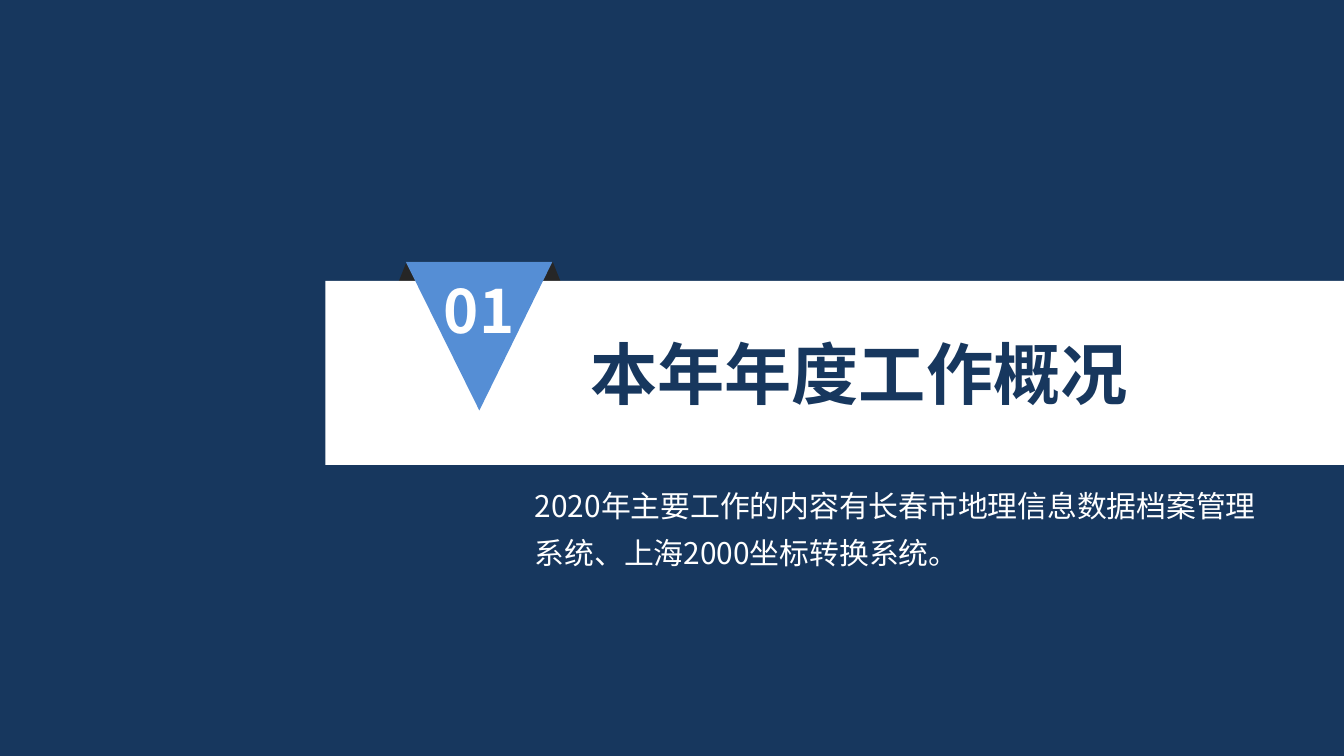
from lxml.etree import SubElement
from pptx import Presentation
from pptx.dml.color import RGBColor
from pptx.enum.shapes import MSO_SHAPE as Kind
from pptx.enum.text import MSO_ANCHOR as Anchor, MSO_AUTO_SIZE as Auto, PP_ALIGN as Align
from pptx.oxml.ns import qn
from pptx.util import Cm, Pt

FACE = "Noto Sans CJK SC"
NAVY, BLUE, DARK, WHITE = "17375E", "558ED5", "262626", "FFFFFF"
WIDE, HIGH = 25.4, 14.29

NUMBER = "01"
TITLE = "本年年度工作概况"
BODY = "2020年主要工作的内容有长春市地理信息数据档案管理系统、上海2000坐标转换系统。"

BARS = [
    (Kind.RECTANGLE, (0, 0, WIDE, HIGH), NAVY),
    (Kind.TRAPEZOID, (7.44, 4.95, 3.25, 0.61), DARK),
    (Kind.RECTANGLE, (6.15, 5.31, WIDE - 6.15, 3.48), WHITE),
]
FLAG = [(7.67, 4.95), (10.44, 4.95), (9.06, 7.76)]
TITLE_BOX = (10.9, 6.15, 10.69, 1.8)
BODY_BOX = (9.86, 8.89, 14.63, 2.03)


def color(code):
    """Turn a hex string into a colour."""
    return RGBColor.from_string(code)


def paint(shape, code):
    """Give a shape a flat fill without line or shadow."""
    shape.fill.solid()
    shape.fill.fore_color.rgb = color(code)
    shape.line.fill.background()
    shape.shadow.inherit = False


def place(shape, box):
    """Move and size a shape in centimetres."""
    shape.left, shape.top, shape.width, shape.height = map(Cm, box)


def write(shape, text, size, code, bold=False, align=Align.LEFT):
    """Write one styled paragraph into a shape and return it."""
    shape.text_frame.text = text
    para = shape.text_frame.paragraphs[0]
    para.alignment = align
    font = para.font
    font.size, font.bold, font.name = Pt(size), bold, FACE
    font.color.rgb = color(code)
    SubElement(font._element, qn("a:ea"), typeface=FACE)
    return para


def main():
    """Build the section slide."""
    deck = Presentation()
    deck.slide_width, deck.slide_height = Cm(WIDE), Cm(HIGH)
    slide = deck.slides.add_slide(deck.slide_layouts[5])
    shapes = slide.shapes

    for kind, box, code in BARS:
        bar = shapes.add_shape(kind, *map(Cm, box))
        paint(bar, code)
        if kind == Kind.TRAPEZOID:
            bar.adjustments[0] = 0.4

    start, *rest = [(Cm(x), Cm(y)) for x, y in FLAG]
    pen = shapes.build_freeform(*start)
    pen.add_line_segments(rest, close=True)
    flag = pen.convert_to_shape()
    paint(flag, BLUE)
    para = write(flag, NUMBER, 32, WHITE, True, Align.CENTER)
    para.space_before = Pt(24)
    frame = flag.text_frame
    frame.vertical_anchor = Anchor.MIDDLE
    frame.margin_top, frame.margin_bottom = 0, Cm(1)

    title = shapes.title
    shapes._spTree.append(title._element)
    place(title, TITLE_BOX)
    write(title, TITLE, 36, NAVY, True)
    frame = title.text_frame
    frame.vertical_anchor = Anchor.TOP
    frame.word_wrap, frame.auto_size = False, Auto.SHAPE_TO_FIT_TEXT

    body = shapes.add_textbox(*map(Cm, BODY_BOX))
    para = write(body, BODY, 16, WHITE)
    para.line_spacing = 1.3
    frame = body.text_frame
    frame.word_wrap, frame.auto_size = True, Auto.SHAPE_TO_FIT_TEXT

    deck.save("out.pptx")


if __name__ == "__main__":
    main()
